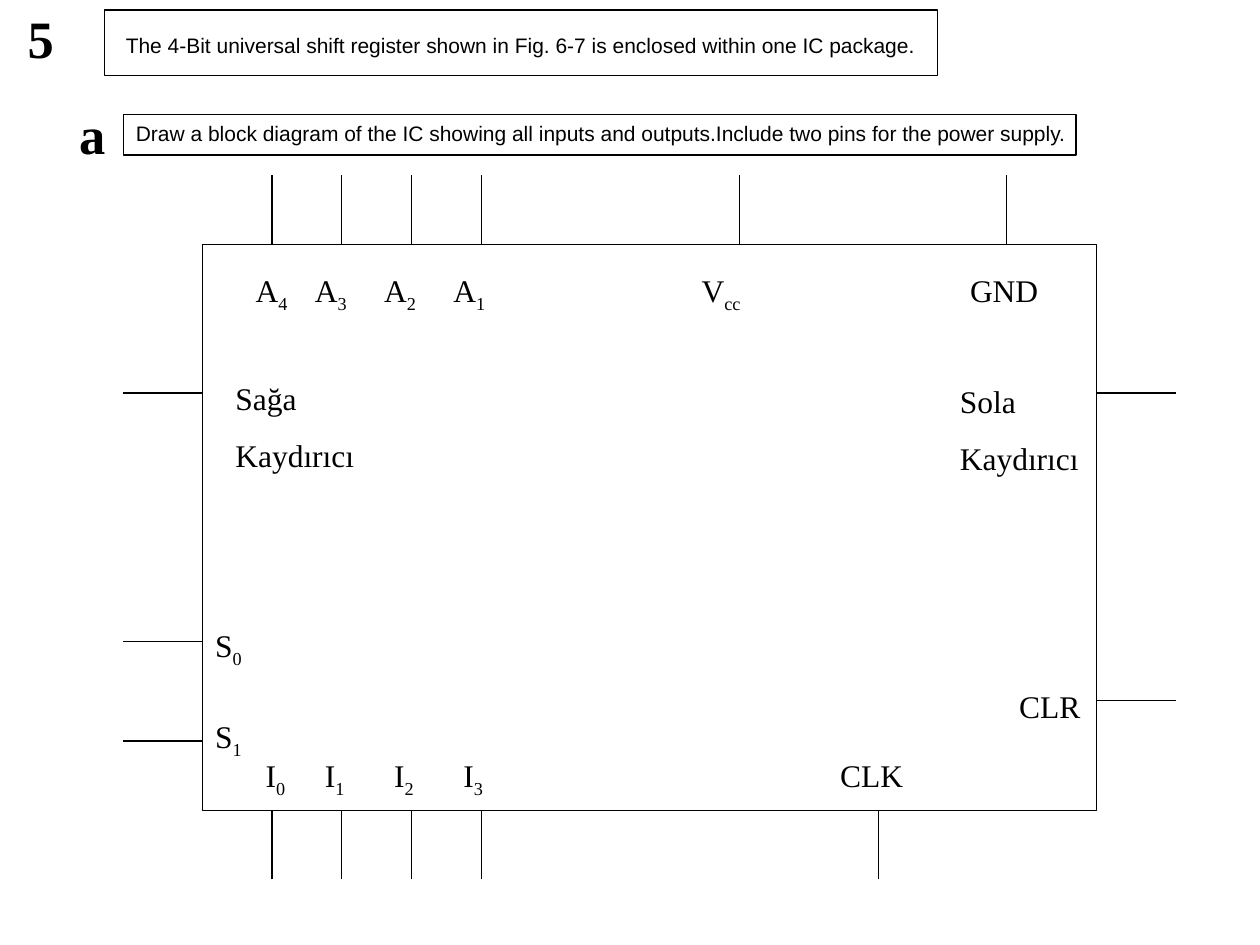
"""Build the block diagram slide of a 4-bit universal shift register IC."""
from lxml import etree
from pptx import Presentation
from pptx.dml.color import RGBColor
from pptx.enum import shapes, text
from pptx.oxml import ns
from pptx.util import Inches, Pt


def paint(color, value):
    color.rgb = RGBColor.from_string(value)


def label(words, left, top, width=0.63, height=0.44, sub="", size=18,
          font="Times New Roman", bold=False, color="000000"):
    box = slide.shapes.add_textbox(Inches(left), Inches(top), Inches(width), Inches(height))
    frame = box.text_frame
    frame.word_wrap = True
    frame.auto_size = text.MSO_AUTO_SIZE.SHAPE_TO_FIT_TEXT
    for number, line in enumerate(words.split("\n")):
        paragraph = frame.add_paragraph() if number else frame.paragraphs[0]
        if number:
            paragraph.space_before = Pt(11.2)
        for part, offset in ((line, 0), (sub, -25000)):
            if not part:
                continue
            run = paragraph.add_run()
            run.text = part
            run.font.size = Pt(size)
            run.font.name = font
            run.font.bold = bold
            paint(run.font.color, color)
            if offset:
                run.font._element.set("baseline", str(offset))


prs = Presentation()
prs.slide_width, prs.slide_height = Inches(10), Inches(7.5)
slide = prs.slides.add_slide(prs.slide_layouts[6])

chip_left, chip_top, chip_width, chip_height = 1.61, 1.94, 7.09, 4.49
chip_right, chip_bottom = chip_left + chip_width, chip_top + chip_height
pin_height, pin_width = 0.55, 0.63

chip = (chip_left, chip_top, chip_width, chip_height, "FFFFFF")
question_frame = (0.83, 0.08, 6.61, 0.52, None)
part_frame = (0.98, 0.91, 7.56, 0.32, None)
for left, top, width, height, fill in (chip, question_frame, part_frame):
    outline = slide.shapes.add_shape(
        shapes.MSO_SHAPE.RECTANGLE, Inches(left), Inches(top), Inches(width), Inches(height))
    outline.shadow.inherit = False
    if fill:
        outline.fill.solid()
        paint(outline.fill.fore_color, fill)
    else:
        outline.fill.background()
    paint(outline.line.color, "000000")
    outline.line.width = Pt(0.75)

data_pins = [2.16 + 0.553 * i for i in range(4)]
pins = [(x, chip_top, x, chip_top - pin_height) for x in data_pins + [5.87, 7.99]]
pins += [(x, chip_bottom + pin_height, x, chip_bottom) for x in data_pins + [6.97]]
pins += [(chip_left, y, chip_left - pin_width, y) for y in (3.12, 5.09, 5.88)]
pins += [(chip_right + pin_width, y, chip_right, y) for y in (3.12, 5.56)]
for ends in pins:
    pin = slide.shapes.add_connector(shapes.MSO_CONNECTOR.STRAIGHT, *map(Inches, ends))
    paint(pin.line.color, "000000")
    pin.line.width = Pt(0.75)
    etree.SubElement(pin._element.spPr, ns.qn("a:effectLst"))

for i, left in enumerate((1.93, 2.4, 2.95, 3.5)):
    label("A", left, 2.1, sub=str(4 - i))
    label("I", left + 0.08, 5.95, sub=str(i))
for i, top in enumerate((4.92, 5.64)):
    label("S", chip_left, top, sub=str(i))
label("V", 5.47, 2.1, sub="cc")
for name, left, top in (("GND", 7.6, 2.1), ("CLR", 7.99, 5.4), ("CLK", 6.57, 5.95)):
    label(name, left, top, width=0.95, height=0.4)
for direction, left, top in (("Sağa", 1.77, 2.96), ("Sola", 7.52, 2.98)):
    label(f"{direction}\nKaydırıcı", left, top, width=1.5, height=0.86)

for mark, left, top in (("5", 0.12, 0), ("a", 0.53, 0.76)):
    label(mark, left, top, width=0.71, height=0.6, size=30, bold=True)
question = "The 4-Bit universal shift register shown in Fig. 6-7 is enclosed within one IC package."
task = ("Draw a block diagram of the IC showing all inputs and outputs."
        "Include two pins for the power supply.")
for sentence, left, top in ((question, 0.9, 0.21), (task, 0.98, 0.91)):
    label(sentence, left, top, width=8.82, height=0.3, size=12, font="Arial")

prs.save("out.pptx")
